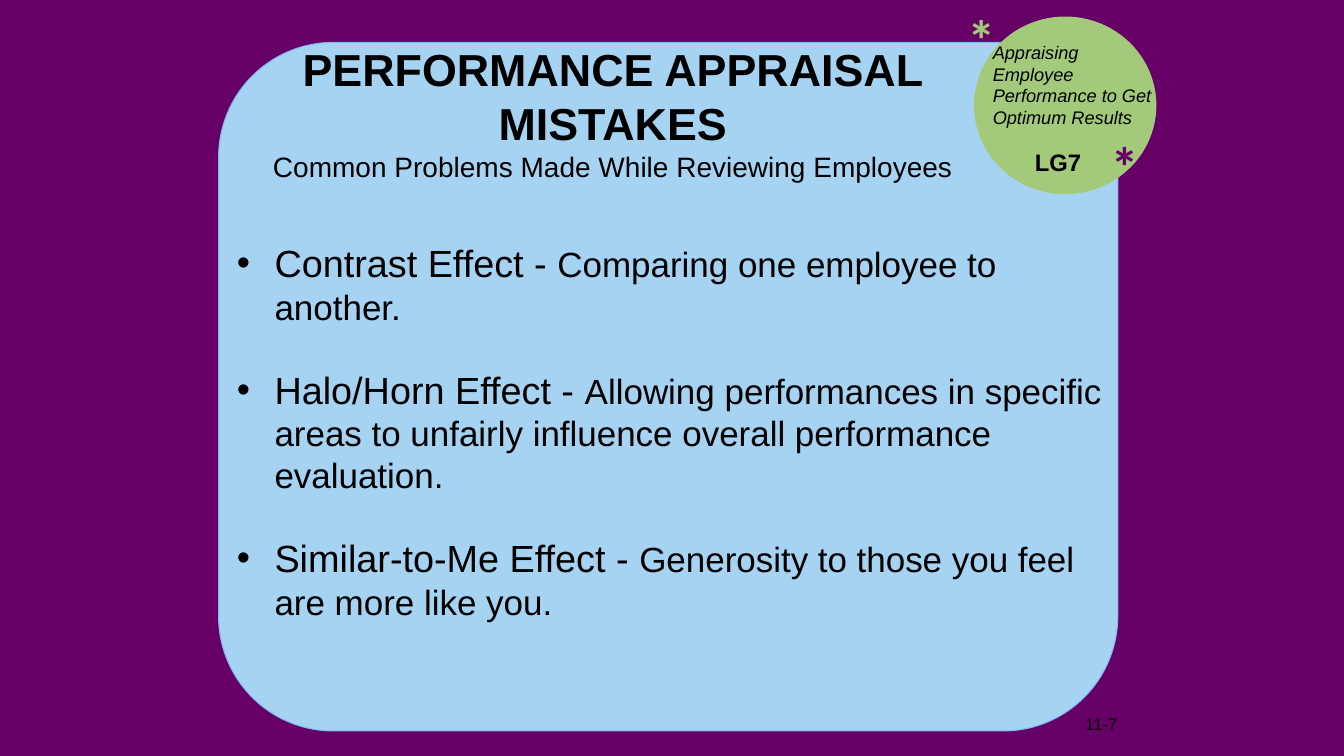
from lxml import etree
from pptx import Presentation
from pptx.dml.color import RGBColor
from pptx.enum.shapes import MSO_SHAPE
from pptx.enum.text import MSO_ANCHOR, PP_ALIGN
from pptx.oxml.ns import qn
from pptx.util import Cm, Pt

ROUND_RECT, OVAL = MSO_SHAPE.ROUNDED_RECTANGLE, MSO_SHAPE.OVAL
TOP, MIDDLE = MSO_ANCHOR.TOP, MSO_ANCHOR.MIDDLE
LEFT, CENTER = PP_ALIGN.LEFT, PP_ALIGN.CENTER

COLORS = {
    "purple": "660066",
    "blue": "A7D3F3",
    "blue_edge": "7CBBF4",
    "green": "A2CA7A",
    "black": "000000",
}

MISTAKES = [
    ("Contrast Effect - ", "Comparing one employee to another."),
    ("Halo/Horn Effect - ", "Allowing performances in specific areas to "
     "unfairly influence overall performance evaluation."),
    ("Similar-to-Me Effect - ", "Generosity to those you feel are more like you."),
]


def rgb(name):
    return RGBColor.from_string(COLORS[name])


def add_panel(s, kind, box, fill, edge):
    sp = s.shapes.add_shape(kind, *map(Cm, box))
    sp.shadow.inherit = False
    sp.fill.solid()
    sp.fill.fore_color.rgb = rgb(fill)
    sp.line.color.rgb = rgb(edge)
    sp.line.width = Pt(0.75)


def add_frame(s, box, anchor=TOP):
    tf = s.shapes.add_textbox(*map(Cm, box)).text_frame
    tf.word_wrap = True
    tf.vertical_anchor = anchor
    return tf


def add_run(p, text, size, color="black", **formats):
    r = p.add_run()
    r.text = text
    r.font.size = Pt(size)
    r.font.color.rgb = rgb(color)
    for name, value in {"name": "Arial", **formats}.items():
        setattr(r.font, name, value)


def add_label(s, box, text, size, color="black", **formats):
    p = add_frame(s, box).paragraphs[0]
    p.alignment = LEFT
    add_run(p, text, size, color, **formats)


def add_title(s, box, title, subtitle):
    p = add_frame(s, box, MIDDLE).paragraphs[0]
    p.alignment = CENTER
    add_run(p, title, 32, bold=True)
    p.add_line_break()
    add_run(p, subtitle, 20, bold=False)


def add_bullets(s, box, items):
    tf = add_frame(s, box)
    for i, (term, meaning) in enumerate(items):
        p = tf.add_paragraph() if i else tf.paragraphs[0]
        pPr = p._p.get_or_add_pPr()
        pPr.set("marL", str(Cm(0.95)))
        pPr.set("indent", str(Cm(-0.95)))
        etree.SubElement(pPr, qn("a:buFont")).set("typeface", "Arial")
        etree.SubElement(pPr, qn("a:buChar")).set("char", "•")
        p.space_after = Pt(28)
        add_run(p, term, 27)
        add_run(p, meaning, 25)


def main():
    prs = Presentation()
    prs.slide_width, prs.slide_height = Cm(33.87), Cm(19.05)
    s = prs.slides.add_slide(prs.slide_layouts[6])
    s.background.fill.solid()
    s.background.fill.fore_color.rgb = rgb("purple")

    # Panel and learning goal badge
    add_panel(s, ROUND_RECT, (5.51, 1.07, 22.66, 17.35), "blue", "blue_edge")
    add_panel(s, OVAL, (24.56, 0.43, 4.57, 4.45), "green", "green")
    star = {"name": "Calibri", "bold": True}
    add_label(s, (27.74, 3.18, 1.4, 1.96), "*", 40, "purple", **star)
    add_label(s, (24.13, 0, 1.7, 1.96), "*", 40, "green", **star)

    # Title and list of mistakes
    add_title(s, (4.65, 0.79, 21.59, 4.09), "PERFORMANCE APPRAISAL MISTAKES",
              "Common Problems Made While Reviewing Employees")
    add_bullets(s, (5.72, 5.92, 22.43, 9.98), MISTAKES)

    # Badge text and page number
    add_label(s, (24.77, 0.91, 4.65, 2.46),
              "Appraising Employee Performance to Get Optimum Results",
              13, italic=True)
    add_label(s, (25.83, 3.61, 1.9, 0.97), "LG7", 17, bold=True)
    add_label(s, (27.1, 17.86, 2.54, 0.76), "11-7", 12)

    prs.save("out.pptx")


if __name__ == "__main__":
    main()
